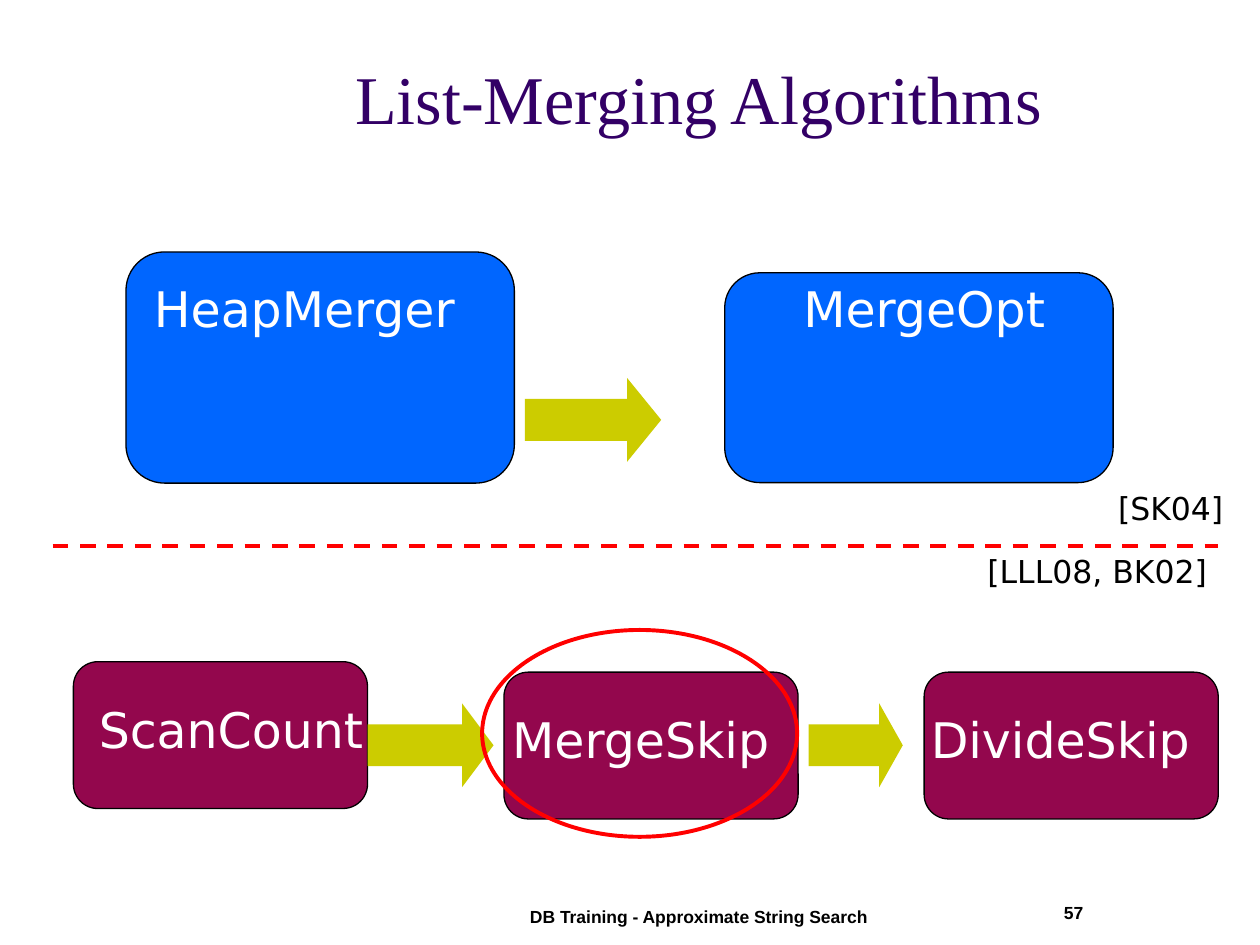
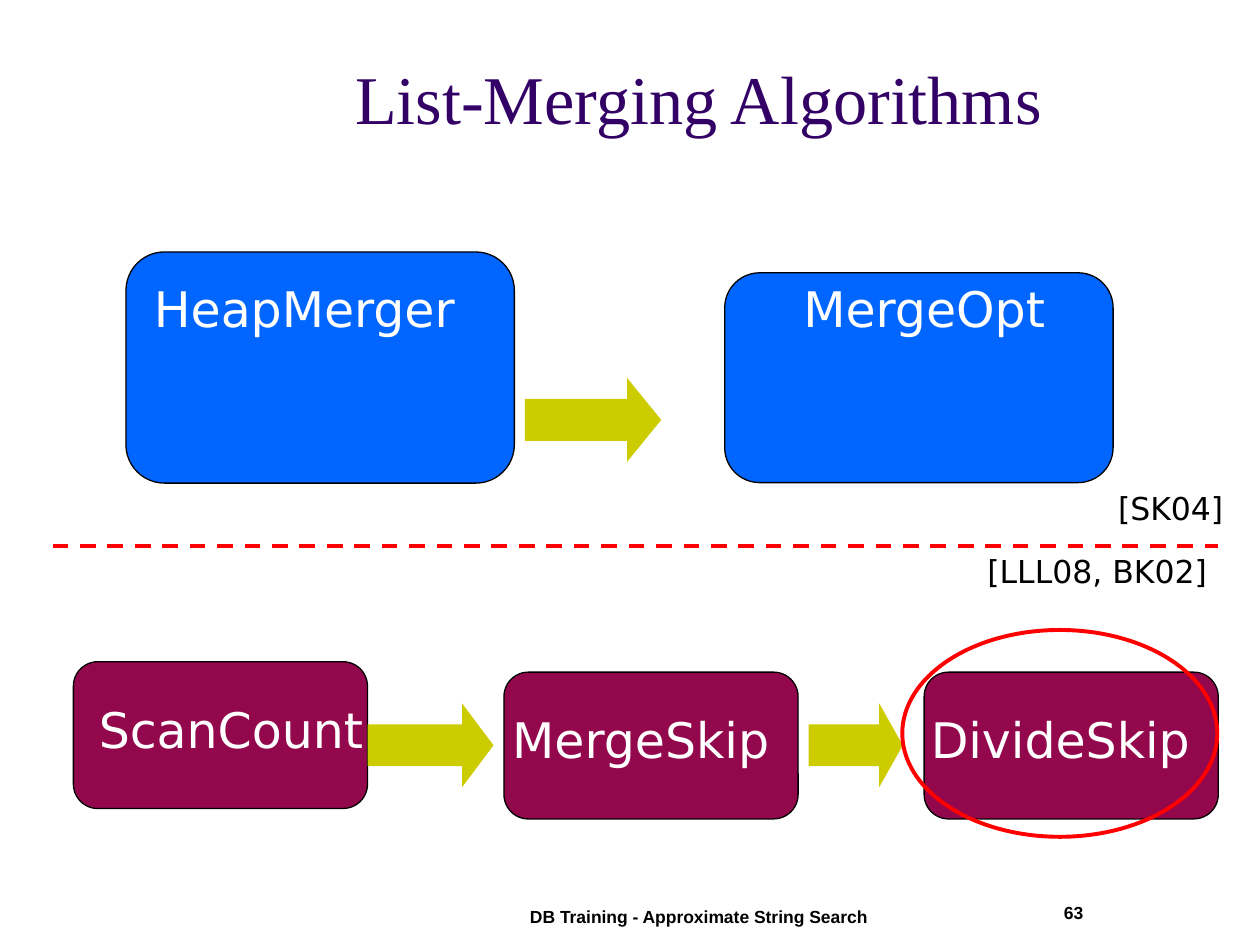
from lxml.etree import SubElement
from pptx import Presentation
from pptx.dml.color import RGBColor
from pptx.enum.dml import MSO_LINE_DASH_STYLE as Dash
from pptx.enum.shapes import MSO_CONNECTOR as Connector, MSO_SHAPE as Shape
from pptx.enum.text import MSO_ANCHOR as Anchor, MSO_AUTO_SIZE as AutoSize, PP_ALIGN as Align
from pptx.oxml.ns import qn
from pptx.util import Cm, Pt

PURPLE = RGBColor(0x33, 0x00, 0x66)
BLUE = RGBColor(0x00, 0x66, 0xFF)
MAROON = RGBColor(0x93, 0x07, 0x4D)
OLIVE = RGBColor(0xCC, 0xCC, 0x00)
RED = RGBColor(0xFF, 0x00, 0x00)
BLACK = RGBColor(0x00, 0x00, 0x00)
WHITE = RGBColor(0xFF, 0xFF, 0xFF)

# Content; all lengths are in centimetres
TITLE = "List-Merging Algorithms"
FOOTER = "DB Training - Approximate String Search"
SLIDES = [("57", "MergeSkip"), ("63", "DivideSkip")]  # page number, circled algorithm

# name: box (left, top, width, height), fill, label (left, top, width, height)
ALGORITHMS = {
    "HeapMerger": ((2.54, 5.08, 7.83, 4.66), BLUE, (2.75, 5.5, 6.77, 8.66)),
    "MergeOpt": ((14.61, 5.5, 7.83, 4.23), BLUE, (14.61, 5.5, 8.04, 1.45)),
}
LOWER_SIZE, LABEL_SIZE, LABEL_DROP = (5.93, 2.96), (6.77, 1.45), 0.63
LOWER_ROW = [  # name, box left, box top, label left
    ("ScanCount", 1.48, 13.34, 1.27),
    ("MergeSkip", 10.16, 13.55, 9.53),
    ("DivideSkip", 18.63, 13.55, 17.99),
]
for name, left, top, label_left in LOWER_ROW:
    ALGORITHMS[name] = ((left, top, *LOWER_SIZE), MAROON,
                        (label_left, top + LABEL_DROP, *LABEL_SIZE))

ARROW_HEIGHT = 1.69
ARROWS = {  # starting algorithm: left, top, width
    "HeapMerger": (10.58, 7.62, 2.75),
    "ScanCount": (7.41, 14.18, 2.54),
    "MergeSkip": (16.3, 14.18, 1.9),
}
DIVIDER = (1.06, 24.55, 11.01)  # left, right, height on the page
CITATIONS = [
    ("[SK04]", (21.8, 9.74, 3.6, 1.02)),
    ("[LLL08, BK02]", (18.84, 11.01, 6.56, 1.02)),
]
CIRCLE_TOP, CIRCLE_SIZE, CIRCLE_OVERHANG = 12.7, (6.35, 4.17), 0.44

# Text formats
TITLE_FONT = {"name": "Times New Roman", "size": Pt(39), "bold": False}
LABEL_FONT = {"name": "DejaVu Sans", "size": Pt(28)}
CITATION_FONT = {"name": "DejaVu Sans", "size": Pt(18)}
FOOTER_FONT = {"name": "Arial", "size": Pt(10), "bold": True}


def write(frame, text, font, color, align=Align.CENTER, anchor=Anchor.TOP):
    for key, value in {"word_wrap": True, "auto_size": AutoSize.NONE,
                       "vertical_anchor": anchor}.items():
        setattr(frame, key, value)
    para = frame.paragraphs[0]
    para.alignment = align
    span = para.add_run()
    span.text = text
    for key, value in font.items():
        setattr(span.font, key, value)
    span.font.color.rgb = color


def add_text(page, place, *style, **options):
    box = page.shapes.add_textbox(*map(Cm, place))
    write(box.text_frame, *style, **options)


def add_figure(page, kind, place, fill=None, line=None, weight=0.75):
    figure = page.shapes.add_shape(kind, *map(Cm, place))
    figure.shadow.inherit = False
    if fill is None:
        figure.fill.background()
    else:
        figure.fill.solid()
        figure.fill.fore_color.rgb = fill
    if line is None:
        figure.line.fill.background()
    else:
        figure.line.color.rgb = line
        figure.line.width = Pt(weight)
    return figure


def add_title(page):
    title = page.shapes.title
    for side, value in zip(("left", "top", "width", "height"), (0.3, -0.69, 20.96, 3.61)):
        setattr(title, side, Cm(value))
    write(title.text_frame, TITLE, TITLE_FONT, PURPLE, Align.RIGHT, Anchor.BOTTOM)


def add_algorithm(page, name):
    place, fill, label_place = ALGORITHMS[name]
    add_figure(page, Shape.FLOWCHART_ALTERNATE_PROCESS, place, fill, BLACK)
    add_text(page, label_place, name, LABEL_FONT, WHITE)
    if name in ARROWS:
        left, top, width = ARROWS[name]
        arrow = add_figure(page, Shape.RIGHT_ARROW, (left, top, width, ARROW_HEIGHT), OLIVE)
        # The head takes a quarter of the arrow's length
        arrow.adjustments[1] = width / 4 / ARROW_HEIGHT


def add_divider(page):
    left, right, height = DIVIDER
    divider = page.shapes.add_connector(Connector.STRAIGHT, Cm(left), Cm(height),
                                        Cm(right), Cm(height))
    divider.line.color.rgb = RED
    divider.line.width = Pt(2.25)
    divider.line.dash_style = Dash.DASH
    SubElement(divider.element.spPr, qn("a:effectLst"))


def add_circle(page, name):
    left = ALGORITHMS[name][0][0] - CIRCLE_OVERHANG
    add_figure(page, Shape.OVAL, (left, CIRCLE_TOP, *CIRCLE_SIZE), line=RED, weight=2.25)


def main():
    deck = Presentation()
    deck.slide_width, deck.slide_height = Cm(25.4), Cm(19.05)
    for number, circled in SLIDES:
        page = deck.slides.add_slide(deck.slide_layouts[5])
        add_title(page)
        for name in ALGORITHMS:
            add_algorithm(page, name)
        add_divider(page)
        for citation, place in CITATIONS:
            add_text(page, place, citation, CITATION_FONT, BLACK)
        add_circle(page, circled)
        # Footer
        add_text(page, (18.97, 18.06, 3.12, 1.27), number, FOOTER_FONT, BLACK, align=Align.RIGHT)
        add_text(page, (10.06, 18.14, 8.05, 1.27), FOOTER, FOOTER_FONT, BLACK)
    deck.save("out.pptx")


if __name__ == "__main__":
    main()
